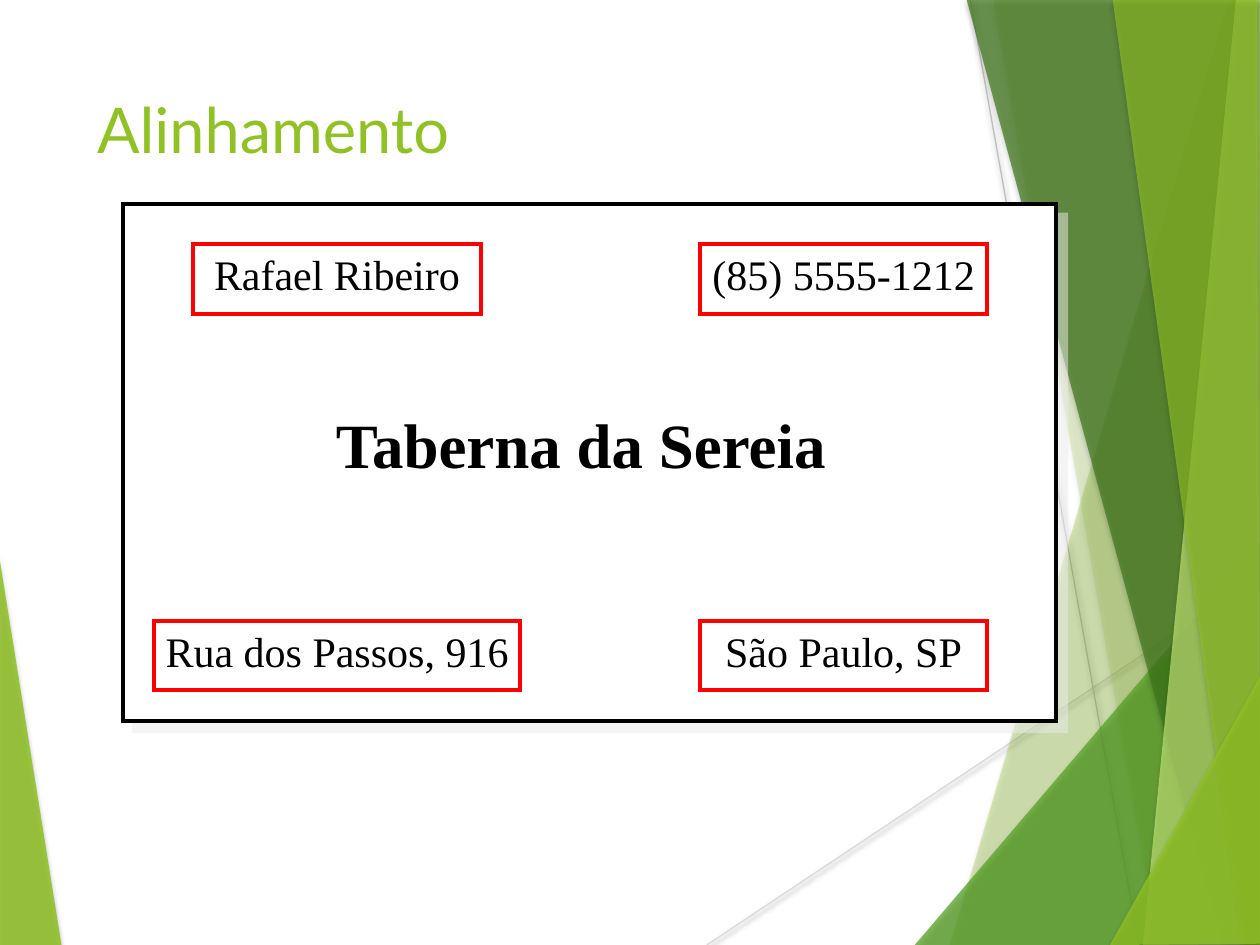
from lxml import etree
from pptx import Presentation
from pptx.dml.color import RGBColor
from pptx.enum.shapes import MSO_CONNECTOR, MSO_SHAPE
from pptx.enum.text import MSO_ANCHOR, PP_ALIGN
from pptx.oxml.ns import qn
from pptx.util import Inches, Pt

RECTANGLE = MSO_SHAPE.RECTANGLE
STRAIGHT = MSO_CONNECTOR.STRAIGHT
TOP, MIDDLE = MSO_ANCHOR.TOP, MSO_ANCHOR.MIDDLE
LEFT, CENTER = PP_ALIGN.LEFT, PP_ALIGN.CENTER

BLACK = RGBColor(0x00, 0x00, 0x00)
WHITE = RGBColor(0xFF, 0xFF, 0xFF)
RED = RGBColor(0xFF, 0x00, 0x00)
LIME = RGBColor(0x90, 0xC2, 0x26)
GREEN = RGBColor(0x54, 0xA0, 0x21)
DARK_GREEN = RGBColor(0x3F, 0x78, 0x19)
PALE_LIME = RGBColor(0xC0, 0xE4, 0x74)
LIGHT_GRAY = RGBColor(0xD9, 0xD9, 0xD9)
GRAY = RGBColor(0xBF, 0xBF, 0xBF)
SHADOW_GRAY = RGBColor(0xEB, 0xEB, 0xEB)

TITLE_FONT = "Lato"
CARD_FONT = "Times New Roman"

RAYS = [
    ((5.61, 7.5), (10.01, 4.57), LIGHT_GRAY),
    ((7.7, 0), (9.04, 7.5), GRAY),
]
LEFT_FACET = ([(-0.01, 4.39), (0.49, 7.51), (-0.01, 7.5)], LIME, 85)
RIGHT_FACETS = [
    ([(9.75, 0), (7.54, 7.5), (10.02, 7.51), (10.01, 0.01)], LIME, 30),
    ([(7.88, -0.01), (9.19, 7.5), (10.01, 7.5), (10.01, -0.01)], LIME, 20),
    ([(7.26, 7.5), (10, 4.29), (10.01, 7.5)], GREEN, 72),
    ([(7.67, -0.01), (9.7, 7.5), (10.01, 7.49), (10.01, -0.01)], DARK_GREEN, 70),
    ([(9.81, -0.01), (9.07, 7.5), (10.01, 7.5), (10, -0.01)], PALE_LIME, 70),
    ([(8.83, -0.01), (9.86, 7.5), (10, 7.5), (9.98, -0.01)], LIME, 65),
    ([(8.81, 7.5), (10.01, 5.35), (10.01, 7.49)], LIME, 80),
]


def set_alpha(color_element, percent):
    alpha = etree.SubElement(color_element, qn("a:alpha"))
    alpha.set("val", str(percent * 1000))


def add_shadow(shape, color, opacity, blur, distance, degrees):
    effects = etree.SubElement(shape._element.spPr, qn("a:effectLst"))
    shadow = etree.SubElement(effects, qn("a:outerShdw"))
    shadow.set("blurRad", str(Pt(blur)))
    shadow.set("dist", str(Pt(distance)))
    shadow.set("dir", str(degrees * 60000))
    shadow.set("algn", "tl")
    shadow.set("rotWithShape", "0")
    tint = etree.SubElement(shadow, qn("a:srgbClr"))
    tint.set("val", str(color))
    set_alpha(tint, opacity)


def format_text(frame, text, font_name, size, color, align, anchor, bold=False):
    frame.text = text
    frame.vertical_anchor = anchor
    paragraph = frame.paragraphs[0]
    paragraph.alignment = align
    font = paragraph.runs[0].font
    font.name, font.size, font.bold = font_name, Pt(size), bold
    font.color.rgb = color


def add_facet(slide, left, top, points, color, opacity):
    corners = [(left + Inches(x), top + Inches(y)) for x, y in points]
    builder = slide.shapes.build_freeform(*corners[0])
    builder.add_line_segments(corners[1:], close=True)
    facet = builder.convert_to_shape()
    facet.fill.solid()
    facet.fill.fore_color.rgb = color
    set_alpha(facet._element.spPr.find(qn("a:solidFill"))[0], opacity)
    facet.line.fill.background()
    add_shadow(facet, BLACK, 35, 3, 2, 90)


def add_ray(slide, left, top, start, end, color):
    ray = slide.shapes.add_connector(
        STRAIGHT, left + Inches(start[0]), top + Inches(start[1]),
        left + Inches(end[0]), top + Inches(end[1]))
    ray.line.color.rgb = color
    ray.line.width = Pt(0.75)
    add_shadow(ray, BLACK, 38, 3.1, 1.6, 90)


def add_backdrop(slide, left, top):
    add_facet(slide, left, top, *LEFT_FACET)
    for ray in RAYS:
        add_ray(slide, left, top, *ray)
    for facet in RIGHT_FACETS:
        add_facet(slide, left, top, *facet)


def place_title(slide, left, top, width, height):
    title = slide.shapes.title
    title.left, title.top, title.width, title.height = left, top, width, height
    format_text(title.text_frame, "Alinhamento", TITLE_FONT, 36, LIME, LEFT, TOP)


def add_card_text(slide, left, top, width, height, text, size, bold=False):
    frame = slide.shapes.add_textbox(left, top, width, height).text_frame
    frame.word_wrap = False
    frame.margin_left = frame.margin_right = Inches(0)
    format_text(frame, text, CARD_FONT, size, BLACK, CENTER, MIDDLE, bold)


def add_outline(slide, left, top, width, height, color):
    outline = slide.shapes.add_shape(RECTANGLE, left, top, width, height)
    outline.fill.background()
    outline.line.color.rgb = color
    outline.line.width = Pt(2.25)
    corner = etree.SubElement(outline._element.spPr.find(qn("a:ln")), qn("a:miter"))
    corner.set("lim", "800000")
    return outline


def add_business_card(slide, left, top, width, height):
    card = add_outline(slide, left, top, width, height, BLACK)
    card.fill.solid()
    card.fill.fore_color.rgb = WHITE
    add_shadow(card, SHADOW_GRAY, 50, 0, 8.5, 45)

    text_width, text_height, frame_height = Inches(2.91), Inches(0.63), Inches(0.55)
    left_column, right_column = left + Inches(0.24), left + Inches(4.26)
    upper_row, lower_row = top + Inches(0.24), top + Inches(3.23)
    narrow = Inches(2.28)
    details = [
        ("Rafael Ribeiro", left_column, upper_row, narrow),
        ("(85) 5555-1212", right_column, upper_row, narrow),
        ("São Paulo, SP", right_column, lower_row, narrow),
        ("Rua dos Passos, 916", left_column, lower_row, text_width),
    ]
    for text, x, y, _ in details:
        add_card_text(slide, x, y, text_width, text_height, text, 24)
    add_card_text(slide, left + Inches(1.58), top + Inches(1.5),
                  Inches(4.1), Inches(0.79), "Taberna da Sereia", 36, bold=True)
    for _, x, y, frame_width in details:
        frame = add_outline(slide, x + (text_width - frame_width) // 2,
                            y + Inches(0.08), frame_width, frame_height, RED)
        frame.shadow.inherit = False


def main():
    presentation = Presentation()
    presentation.slide_width, presentation.slide_height = Inches(10), Inches(7.5)
    slide = presentation.slides.add_slide(presentation.slide_layouts[5])
    add_backdrop(slide, Inches(0), Inches(0))
    place_title(slide, Inches(0.67), Inches(0.67), Inches(6.94), Inches(1.44))
    add_business_card(slide, Inches(0.98), Inches(1.62), Inches(7.4), Inches(4.1))
    presentation.save("out.pptx")


if __name__ == "__main__":
    main()
